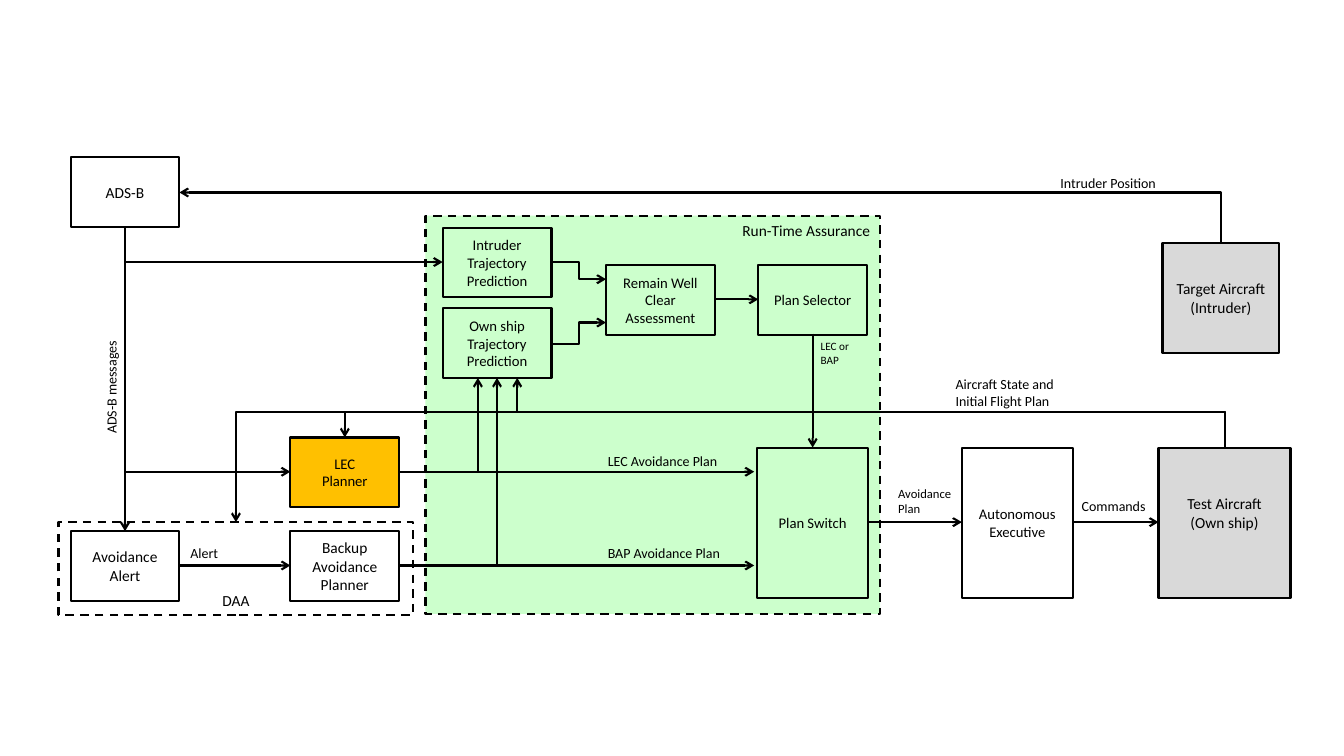
from typing import NamedTuple, Optional

import pptx
import pptx.dml.color
import pptx.enum.dml
import pptx.enum.shapes
import pptx.enum.text
import pptx.oxml
import pptx.oxml.ns
import pptx.shapes.connector
import pptx.util

Inches = pptx.util.Inches
RGBColor = pptx.dml.color.RGBColor
ALIGN = pptx.enum.text.PP_ALIGN
ANCHOR = pptx.enum.text.MSO_ANCHOR
CONNECTOR = pptx.enum.shapes.MSO_CONNECTOR
Point = tuple[float, float]

BLACK = RGBColor(0x00, 0x00, 0x00)
GREEN = RGBColor(0xCC, 0xFF, 0xCC)
AMBER = RGBColor(0xFF, 0xC0, 0x00)
GREY = RGBColor(0xD9, 0xD9, 0xD9)

BLOCK_W, BLOCK_H = 1.08, 0.69
TALL_Y, TALL_W, TALL_H = 4.44, 1.1, 1.49
ALERT_X, PLANNER_X, PREDICTION_X = 0.7, 2.88, 4.39
ADSB_X = ALERT_X + BLOCK_W / 2
PLANNER_RIGHT = PLANNER_X + BLOCK_W
PREDICTION_RIGHT = PREDICTION_X + BLOCK_W
LEC_Y, BAP_Y, SWITCH_Y, STATE_Y = 4.68, 5.61, 5.18, 4.09
INTRUDER_Y, OWN_SHIP_Y, PREDICTION_BOTTOM = 2.6, 3.41, 3.75
SELECTOR_X = 8.06
OWN_SHIP_TOP = (12.15, TALL_Y)


class Box(NamedTuple):
    text: str
    x: float
    y: float
    w: float = BLOCK_W
    h: float = BLOCK_H
    size: float = 10.5
    fill: Optional[RGBColor] = None
    dashed: bool = False
    align: ALIGN = ALIGN.CENTER
    anchor: ANCHOR = ANCHOR.MIDDLE
    bottom: float = 0.05


class Label(NamedTuple):
    text: str
    x: float
    y: float
    w: float
    h: float = 0.27
    size: float = 10
    rotation: float = 0


BOXES = [
    Box("Run-Time Assurance", 4.22, 2.14, 4.51, 3.95, 11, GREEN, True, ALIGN.RIGHT, ANCHOR.TOP),
    Box("DAA", 0.58, 5.18, 3.52, 0.92, 11, dashed=True, anchor=ANCHOR.BOTTOM),
    Box("ADS-B", ALERT_X, 1.56, size=11),
    Box("Avoidance Alert", ALERT_X, 5.27, size=11),
    Box("LEC\nPlanner", PLANNER_X, 4.34, fill=AMBER),
    Box("Backup Avoidance Planner", PLANNER_X, 5.27, size=11),
    Box("Intruder Trajectory\nPrediction", PREDICTION_X, 2.26),
    Box("Own ship\nTrajectory Prediction", PREDICTION_X, 3.06),
    Box("Remain Well Clear Assessment", 6.01, 2.63),
    Box("Plan Selector", 7.52, 2.63),
    Box("Plan Switch", 7.51, TALL_Y, TALL_W, TALL_H),
    Box("Autonomous Executive", 9.54, TALL_Y, TALL_W, TALL_H),
    Box("Test Aircraft\n(Own ship)", 11.49, TALL_Y, 1.31, TALL_H, 11, GREY, bottom=0.24),
    Box("Target Aircraft (Intruder)", 11.53, 2.41, 1.16, 1.09, 11, GREY),
]

LABELS = [
    Label("Alert", 1.79, 5.35, 0.49),
    Label("LEC Avoidance Plan", 5.93, 4.44, 1.3),
    Label("BAP Avoidance Plan", 5.93, 5.35, 1.33),
    Label("Aircraft State and\nInitial Flight Plan", 9.38, 3.68, 1.2, 0.44),
    Label("Intruder Position", 10.42, 1.68, 1.16),
    Label("ADS-B messages", 0.54, 3.7, 1.13, rotation=270),
    Label("Avoidance\nPlan", 8.81, 4.77, 0.77, 0.4, 9),
    Label("Commands", 10.63, 4.89, 0.84),
    Label("LEC or\nBAP", 8.04, 3.32, 0.49, 0.37, 8),
]

STRAIGHT_ARROWS = [
    ((PLANNER_RIGHT, LEC_Y), (7.48, LEC_Y)),
    ((PLANNER_RIGHT, BAP_Y), (7.48, BAP_Y)),
    ((ADSB_X, 2.25), (ADSB_X, 5.27)),
    ((ALERT_X + BLOCK_W, BAP_Y), (PLANNER_X, BAP_Y)),
    ((10.64, SWITCH_Y), (11.49, SWITCH_Y)),
    ((8.61, SWITCH_Y), (9.54, SWITCH_Y)),
    ((7.09, 2.97), (7.52, 2.97)),
    ((SELECTOR_X, 3.31), (SELECTOR_X, TALL_Y)),
]

STEP_ARROWS = [
    ((PREDICTION_RIGHT, INTRUDER_Y), (6.01, 2.77)),
    ((PREDICTION_RIGHT, OWN_SHIP_Y), (6.01, 3.2)),
]

ACROSS_THEN_UP = [
    ((PLANNER_RIGHT, LEC_Y), (4.74, PREDICTION_BOTTOM)),
    ((PLANNER_RIGHT, BAP_Y), (4.93, PREDICTION_BOTTOM)),
]

VERTICAL_THEN_ACROSS = [
    ((12.11, 2.41), (ALERT_X + BLOCK_W, 1.91)),
    ((ADSB_X, 5.27), (PLANNER_X, LEC_Y)),
    ((ADSB_X, 2.25), (PREDICTION_X, INTRUDER_Y)),
]

STATE_TARGETS = [(3.42, 4.34), (5.13, PREDICTION_BOTTOM), (2.34, 5.18)]

prs = pptx.Presentation()
prs.slide_width, prs.slide_height = Inches(13.33), Inches(7.5)
s = prs.slides.add_slide(prs.slide_layouts[6])


def write(tf: pptx.text.text.TextFrame, text: str, size: float, align: ALIGN) -> None:
    tf.text = text
    font = {"name": "Calibri", "size": pptx.util.Pt(size)}
    for p in tf.paragraphs:
        p.alignment = align
        for r in p.runs:
            r.font.color.rgb = BLACK
            for name, value in font.items():
                setattr(r.font, name, value)


def draw_box(box: Box) -> None:
    sp = s.shapes.add_shape(pptx.enum.shapes.MSO_SHAPE.RECTANGLE,
                            *map(Inches, (box.x, box.y, box.w, box.h)))
    sp.shadow.inherit = False
    if box.fill is None:
        sp.fill.background()
    else:
        sp.fill.solid()
        sp.fill.fore_color.rgb = box.fill
    sp.line.color.rgb = BLACK
    sp.line.width = pptx.util.Pt(1.5)
    if box.dashed:
        sp.line.dash_style = pptx.enum.dml.MSO_LINE.DASH
    frame = {"word_wrap": True, "vertical_anchor": box.anchor,
             "margin_bottom": Inches(box.bottom)}
    for name, value in frame.items():
        setattr(sp.text_frame, name, value)
    write(sp.text_frame, box.text, box.size, box.align)


def draw_label(label: Label) -> None:
    sp = s.shapes.add_textbox(*map(Inches, (label.x, label.y, label.w, label.h)))
    sp.rotation = label.rotation
    sp.text_frame.word_wrap = False
    write(sp.text_frame, label.text, label.size, ALIGN.LEFT)


def add_xml(parent: pptx.oxml.xmlchemy.BaseOxmlElement, tag: str, **attrs: str) -> None:
    child = pptx.oxml.parse_xml(f"<{tag} {pptx.oxml.ns.nsdecls('a')}/>")
    for name, value in attrs.items():
        child.set(name, value)
    parent.append(child)


def draw_arrow(kind: CONNECTOR, start: Point, end: Point,
               arrow_end: str = "tailEnd") -> pptx.shapes.connector.Connector:
    line = s.shapes.add_connector(kind, *map(Inches, (*start, *end)))
    line.line.color.rgb = BLACK
    line.line.width = pptx.util.Pt(1.5)
    add_xml(line.line._get_or_add_ln(), f"a:{arrow_end}", type="arrow")
    add_xml(line._element.spPr, "a:effectLst")
    return line


def draw_corner(start: Point, end: Point, arrow_end: str = "tailEnd") -> None:
    line = draw_arrow(CONNECTOR.ELBOW, start, end, arrow_end)
    line._element.spPr.prstGeom.set("prst", "bentConnector2")


def draw_state_arrow(start: Point, end: Point, lane: float) -> None:
    line = draw_arrow(CONNECTOR.ELBOW, start, end)
    (x0, y0), (x1, y1) = start, end
    w, h = abs(y1 - y0), abs(x1 - x0)
    place = {"left": (x0 + x1 - w) / 2, "top": (y0 + y1 - h) / 2, "width": w, "height": h}
    for name, value in place.items():
        setattr(line, name, Inches(value))
    turn = {"rot": str(270 * 60000), "flipH": str(int(y1 > y0)), "flipV": "1"}
    for name, value in turn.items():
        line._element.spPr.xfrm.set(name, value)
    bend = round((lane - y0) / (y1 - y0) * 100000)
    add_xml(line._element.spPr.prstGeom.get_or_add_avLst(), "a:gd",
            name="adj1", fmla=f"val {bend}")


for box in BOXES:
    draw_box(box)
for start, end in STRAIGHT_ARROWS:
    draw_arrow(CONNECTOR.STRAIGHT, start, end)
for start, end in STEP_ARROWS:
    draw_arrow(CONNECTOR.ELBOW, start, end)
for start, end in ACROSS_THEN_UP:
    draw_corner(start, end)
for start, end in VERTICAL_THEN_ACROSS:
    draw_corner(end, start, "headEnd")
for target in STATE_TARGETS:
    draw_state_arrow(OWN_SHIP_TOP, target, STATE_Y)
for label in LABELS:
    draw_label(label)

prs.save("out.pptx")
